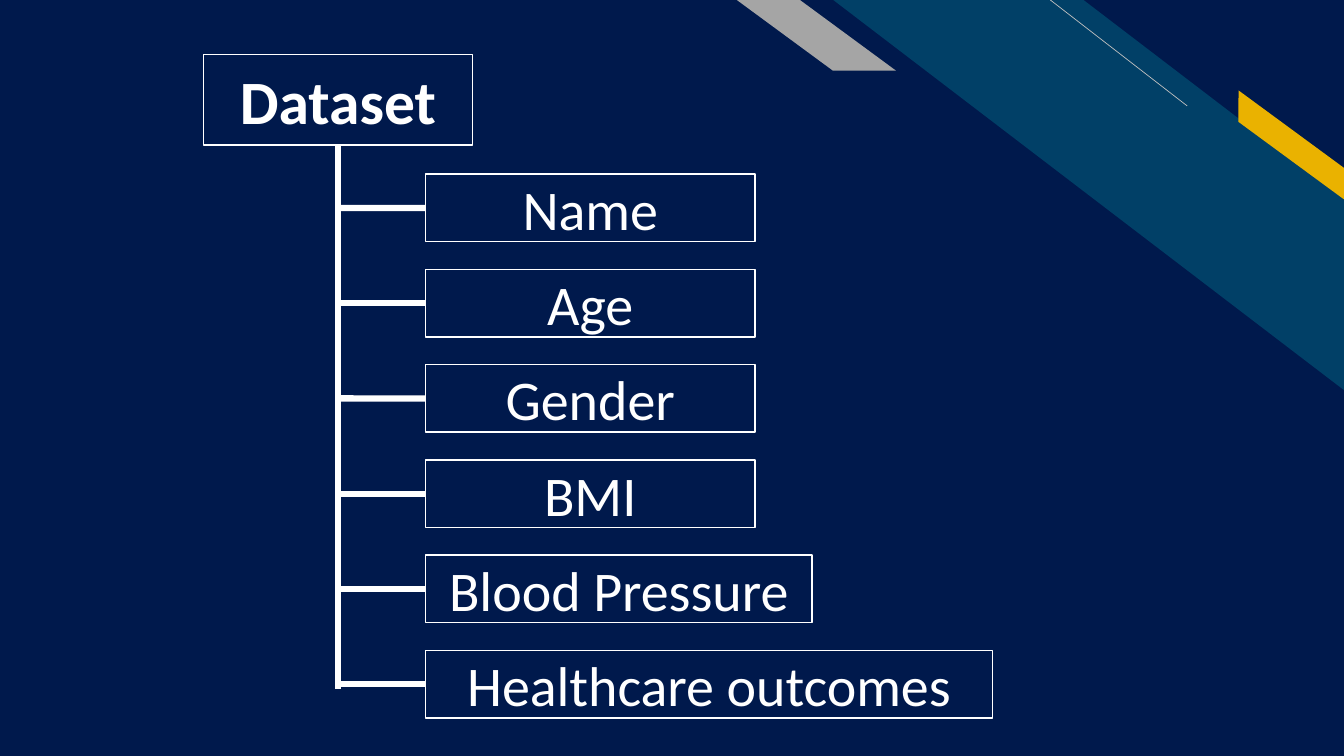
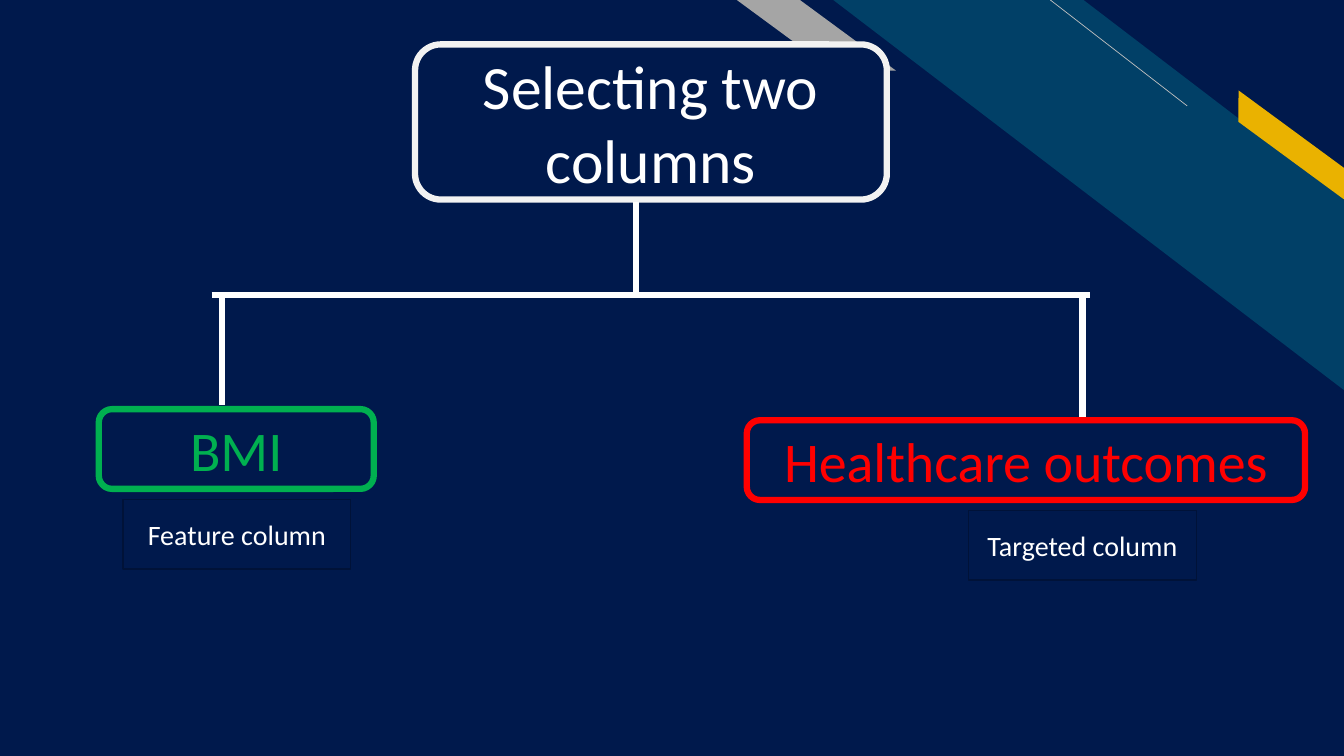
from lxml import etree
from pptx import Presentation
from pptx.dml.color import RGBColor
from pptx.enum import shapes, text
from pptx.oxml import ns
from pptx.util import Cm, Pt

NAVY, TEAL, WHITE = "00194C", "014067", "FFFFFF"
YELLOW, GREY, PALE = "EAB200", "A5A5A5", "BFBFBF"
GREEN, RED, OFF_WHITE, DARK = "00B050", "FF0000", "F2F2F2", "001238"
FONT = "Calibri"
MSO = shapes.MSO_SHAPE
rgb = RGBColor.from_string


def add_box(s, at, txt="", kind=MSO.RECTANGLE, fill=NAVY, line=None, width=1,
            size=40, color=WHITE, bold=False, flip=None, rotation=0):
    sp = s.shapes.add_shape(kind, *[Cm(v) for v in at])
    sp.shadow.inherit = False
    if fill:
        sp.fill.solid()
        sp.fill.fore_color.rgb = rgb(fill)
    else:
        sp.fill.background()
    if line:
        sp.line.color.rgb = rgb(line)
        sp.line.width = Pt(width)
    else:
        sp.line.fill.background()
    if flip is not None:
        sp.adjustments[0] = flip
        sp._element.spPr.xfrm.set("flipH", "1")
    sp.rotation = rotation
    if txt:
        tf = sp.text_frame
        tf.word_wrap = True
        tf.vertical_anchor = text.MSO_ANCHOR.MIDDLE
        p = tf.paragraphs[0]
        p.alignment = text.PP_ALIGN.CENTER
        r = p.add_run()
        r.text = txt
        r.font.size, r.font.name, r.font.bold = Pt(size), FONT, bold
        r.font.color.rgb = rgb(color)
    return sp


def add_line(s, x1, y1, x2, y2, color=WHITE, width=4.5):
    cn = s.shapes.add_connector(shapes.MSO_CONNECTOR.STRAIGHT, Cm(x1), Cm(y1), Cm(x2), Cm(y2))
    cn.line.color.rgb = rgb(color)
    cn.line.width = Pt(width)
    etree.SubElement(cn._element.spPr, ns.qn("a:effectLst"))
    return cn


prs = Presentation()
prs.slide_width, prs.slide_height = Cm(33.87), Cm(19.05)
slides = [prs.slides.add_slide(prs.slide_layouts[6]) for _ in range(2)]

for s in slides:
    s.background.fill.solid()
    s.background.fill.fore_color.rgb = rgb(NAVY)
    add_box(s, (21, 0, 12.87, 9.83), kind=MSO.DIAGONAL_STRIPE, fill=TEAL, flip=0.51)
    add_line(s, 29.92, 2.67, 26.47, 0, color=PALE, width=0.5)
    add_box(s, (30.66, 3.33, 3.76, 0.64), kind=MSO.PARALLELOGRAM, fill=YELLOW,
            flip=0.72, rotation=36.3)
    add_box(s, (18.57, 0, 4.01, 1.78), kind=MSO.PARALLELOGRAM, fill=GREY, flip=1.36)

s = slides[0]
trunk_x = 8.52
dataset = add_box(s, (5.13, 1.37, 6.78, 2.29), "Dataset", fill=None, line=WHITE,
                  size=44, bold=True)
add_line(s, trunk_x, 3.66, trunk_x, 17.37).begin_connect(dataset, 2)
columns = [("Name", 8.31), ("Age", 8.31), ("Gender", 8.31), ("BMI", 8.31),
           ("Blood Pressure", 9.75), ("Healthcare outcomes", 14.3)]
for i, (name, w) in enumerate(columns):
    y = 4.39 + 2.4 * i
    column = add_box(s, (10.72, y, w, 1.7), name, line=WHITE)
    add_line(s, trunk_x, y + 0.85, 10.72, y + 0.85).end_connect(column, 1)

s = slides[1]
bar_y = 7.44
add_box(s, (10.46, 1.12, 11.89, 3.91), "Selecting two columns",
        kind=MSO.ROUNDED_RECTANGLE, line=OFF_WHITE, width=4.5, size=44)
for ends in [(5.33, bar_y, 27.48, bar_y), (5.59, 10.21, 5.59, bar_y),
             (27.28, bar_y, 27.28, 10.59), (16.03, 5.08, 16.03, bar_y)]:
    add_line(s, *ends)
for name, x, y, w, color, label, label_x in [
        ("Healthcare outcomes", 18.82, 10.59, 14.07, RED, "Targeted column", 24.41),
        ("BMI", 2.49, 10.31, 6.93, GREEN, "Feature column", 3.1)]:
    add_box(s, (x, y, w, 2.01), name, kind=MSO.ROUNDED_RECTANGLE,
            line=color, width=4.5, color=color)
    add_box(s, (label_x, y + 2.28, 5.74, 1.75), label, line=DARK, size=20)

prs.save("out.pptx")
